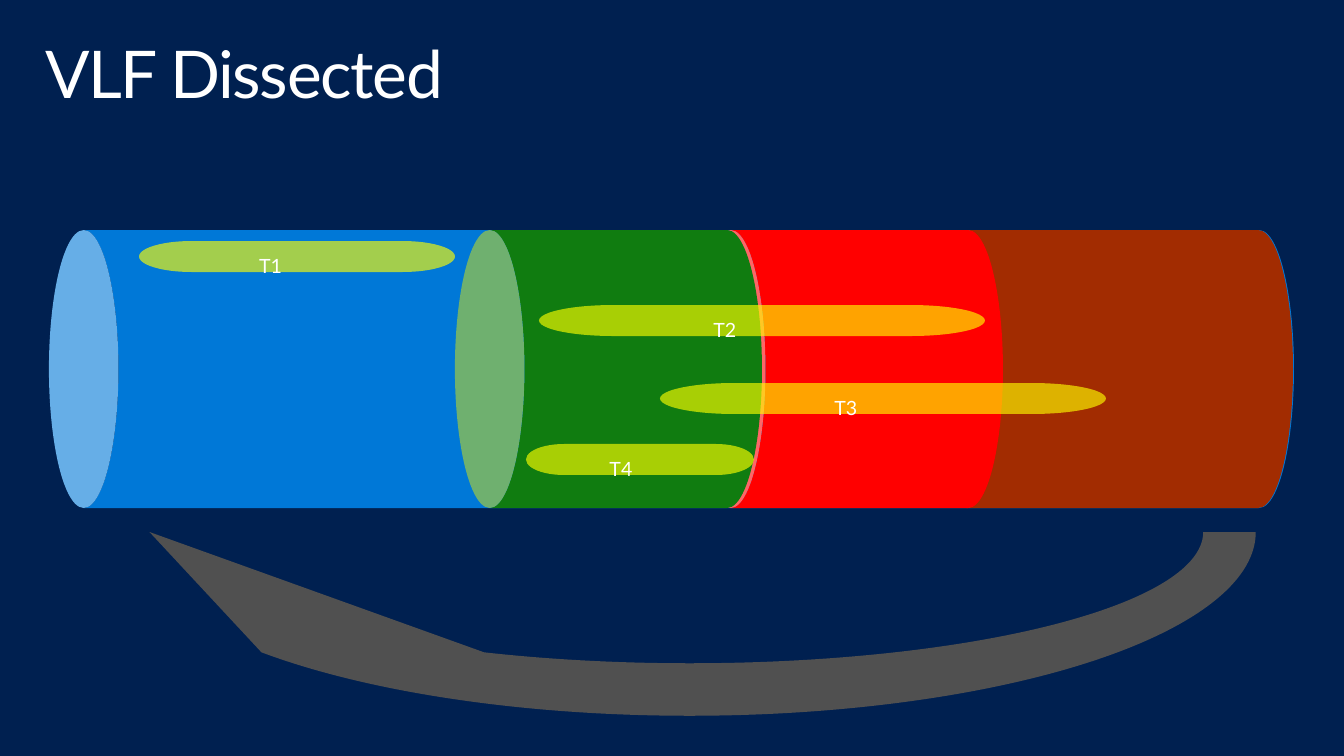
"""Builds the slide showing how transactions spread over virtual log files."""
from lxml.etree import SubElement
from pptx import Presentation
from pptx.dml.color import RGBColor
from pptx.enum.shapes import MSO_SHAPE
from pptx.enum.text import MSO_ANCHOR, MSO_AUTO_SIZE, PP_ALIGN
from pptx.oxml.ns import qn
from pptx.util import Pt

SLIDE = (1344, 756)
BACKGROUND = "002050"
TITLE = ("VLF Dissected", (29, 32, 1285, 99))

CYLINDER_TOP, CYLINDER_HEIGHT = 230, 278
CYLINDERS = [
    (49, 1245, "0078D7"),
    (932, 361, "A22C01"),
    (696, 307, "FF0000"),
    (455, 307, "107C10"),
]

TRANSACTION_HEIGHT = 31
TRANSACTION_FILL, TRANSACTION_ALPHA = "FFFF00", 64
TRANSACTIONS = [
    ("T1", 139, 241, 316),
    ("T2", 539, 305, 446),
    ("T3", 660, 383, 446),
    ("T4", 526, 444, 228),
]

WRAP_AROUND = ((97, 322, 1185, 420), "505050")

TITLE_FRAME = {
    "margin_left": 16, "margin_right": 16, "margin_top": 10, "margin_bottom": 10,
}
LABEL_FRAME = {
    "margin_left": 20, "margin_right": 20, "margin_top": 16, "margin_bottom": 16,
}
FRAME = {
    "word_wrap": True,
    "auto_size": MSO_AUTO_SIZE.NONE,
    "vertical_anchor": MSO_ANCHOR.TOP,
}


def px(length):
    """Turn pixels into EMU."""
    return round(length * 914400 / 100.8)


def color(value):
    """Turn a hex string into a colour."""
    return RGBColor.from_string(value)


def assign(target, values):
    """Set every attribute named in values."""
    for name, value in values.items():
        setattr(target, name, value)


def write(shape, text, margins, size, align):
    """Put one formatted line of text into a shape."""
    frame = shape.text_frame
    assign(frame, FRAME)
    assign(frame, {side: px(margin) for side, margin in margins.items()})
    line = frame.paragraphs[0]
    assign(line, {"alignment": align, "line_spacing": 0.9})
    run = line.add_run()
    run.text = text
    assign(run.font, {"name": "Lato", "size": Pt(size), "bold": False})
    run.font.color.rgb = color("FFFFFF")
    return run


def draw(slide, preset, box, fill, rotation=0):
    """Add a flat preset shape without outline or shadow."""
    shape = slide.shapes.add_shape(preset, *map(px, box))
    shape.rotation = rotation
    shape.shadow.inherit = False
    shape.fill.solid()
    shape.fill.fore_color.rgb = color(fill)
    shape.line.fill.background()
    return shape


def add_title(slide):
    """Fill and place the title."""
    text, box = TITLE
    title = slide.shapes.title
    assign(title, dict(zip(("left", "top", "width", "height"), map(px, box))))
    run = write(title, text, TITLE_FRAME, 47, PP_ALIGN.LEFT)
    run._r.get_or_add_rPr().set("spc", "-100")


def add_cylinder(slide, left, length, fill):
    """Add a can lying on its side between the given ends."""
    shift = (length - CYLINDER_HEIGHT) / 2
    box = (left + shift, CYLINDER_TOP - shift, CYLINDER_HEIGHT, length)
    draw(slide, MSO_SHAPE.CAN, box, fill, 270)


def add_transaction(slide, label, left, top, length):
    """Add a labelled translucent drum."""
    box = (left, top, length, TRANSACTION_HEIGHT)
    drum = draw(slide, MSO_SHAPE.FLOWCHART_DIRECT_ACCESS_STORAGE, box, TRANSACTION_FILL)
    tint = drum._element.spPr.find(qn("a:solidFill"))[0]
    SubElement(tint, qn("a:alpha")).set("val", str(TRANSACTION_ALPHA * 1000))
    write(drum, label, LABEL_FRAME, 14, PP_ALIGN.CENTER)


def main():
    """Build and save the deck."""
    deck = Presentation()
    assign(deck, dict(zip(("slide_width", "slide_height"), map(px, SLIDE))))
    slide = deck.slides.add_slide(deck.slide_layouts[5])
    slide.background.fill.solid()
    slide.background.fill.fore_color.rgb = color(BACKGROUND)
    add_title(slide)
    for cylinder in CYLINDERS:
        add_cylinder(slide, *cylinder)
    for transaction in TRANSACTIONS:
        add_transaction(slide, *transaction)
    draw(slide, MSO_SHAPE.CIRCULAR_ARROW, *WRAP_AROUND, 180)
    deck.save("out.pptx")


if __name__ == "__main__":
    main()
